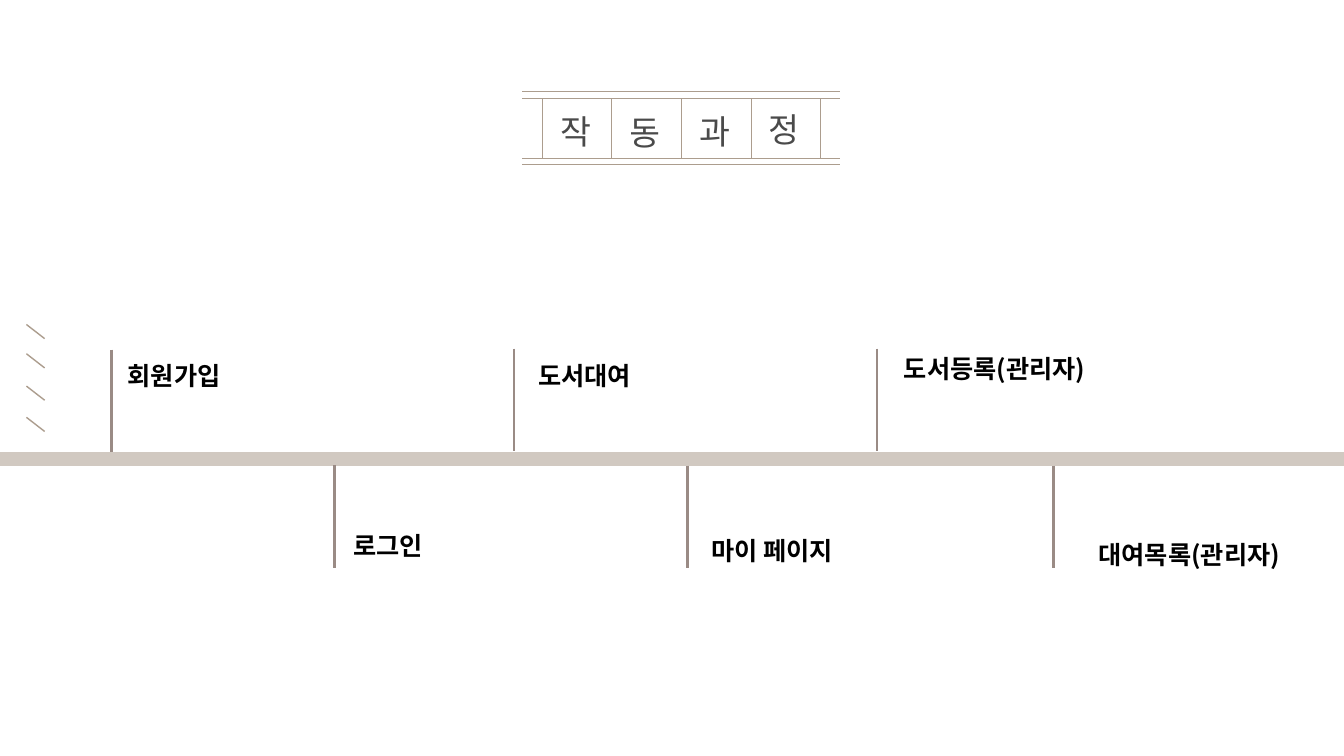
"""Build the slide that shows the operating steps along a timeline."""
from lxml import etree
from pptx import Presentation
from pptx.dml.color import RGBColor
from pptx.enum import shapes, text
from pptx.oxml import ns
from pptx.util import Pt

COLORS = {"frame": "AC9D8E", "stem": "9A8B85", "band": "D1C9C1", "text": "000000"}
FONT = "Noto Sans CJK KR"
TITLE = [("작", 75.6), ("동", 76.3), ("과", 75.6), ("정", 74.2)]
STEPS = [
    # stem x, stem top, label left, label top, label width
    ("회원가입", 79.9, 249.8, 84.2, 249.8, 102.2),
    ("로그인", 239, 332, 245.5, 370.8, 102.2),
    ("도서대여", 367.2, 249.1, 377.3, 249.8, 102.2),
    ("마이 페이지", 491, 332.6, 501.1, 374.4, 123.1),
    ("도서등록(관리자)", 626.4, 249.1, 638.6, 244.8, 154.8),
    ("대여목록(관리자)", 752.4, 332.6, 777.6, 377.3, 157.7),
]
RAILS = [65.5, 70.6, 113, 117.4]
TICKS = [231.8, 252.7, 275.8, 298.1]
RAIL_LEFT, RAIL_RIGHT = 373, 599.8
CELL_LEFT, CELL_W = 387.4, 49.7
STEM_H = 73.4


def add_line(slide, x1, y1, x2, y2, color, width):
    line = slide.shapes.add_connector(
        shapes.MSO_CONNECTOR.STRAIGHT, Pt(x1), Pt(y1), Pt(x2), Pt(y2))
    line.line.color.rgb = RGBColor.from_string(COLORS[color])
    line.line.width = Pt(width)
    etree.SubElement(line._element.spPr, ns.qn("a:effectLst"))


def add_text(slide, words, x, y, w, h, size, bold=False, spacing=None, opacity=None):
    tf = slide.shapes.add_textbox(Pt(x), Pt(y), Pt(w), Pt(h)).text_frame
    tf.word_wrap = True
    tf.auto_size = text.MSO_AUTO_SIZE.SHAPE_TO_FIT_TEXT
    p = tf.paragraphs[0]
    p.line_spacing = spacing
    r = p.add_run()
    r.text = words
    r.font.size = Pt(size)
    r.font.bold = bold
    r.font.name = FONT
    r.font.color.rgb = RGBColor.from_string(COLORS["text"])
    rPr = r.font._element
    rPr.find(ns.qn("a:latin")).addnext(
        rPr.makeelement(ns.qn("a:ea"), {"typeface": FONT}))
    if opacity:
        color = rPr.find(".//" + ns.qn("a:srgbClr"))
        etree.SubElement(color, ns.qn("a:alpha"), val=str(opacity * 1000))


def add_title(slide):
    for y in RAILS:
        add_line(slide, RAIL_LEFT, y, RAIL_RIGHT, y, "frame", 0.75)
    for i in range(len(TITLE) + 1):
        x = CELL_LEFT + i * CELL_W
        add_line(slide, x, RAILS[1], x, RAILS[2], "frame", 0.75)
    for i, (letter, y) in enumerate(TITLE):
        add_text(slide, letter, CELL_LEFT + 5.7 + i * CELL_W, y, 38.9, 36, 24, opacity=71)


def add_timeline(slide):
    band = slide.shapes.add_shape(
        shapes.MSO_SHAPE.RECTANGLE, Pt(0), Pt(323.3), Pt(960), Pt(9.4))
    band.shadow.inherit = False
    band.fill.solid()
    band.fill.fore_color.rgb = RGBColor.from_string(COLORS["band"])
    band.line.color.rgb = RGBColor.from_string(COLORS["band"])
    band.line.width = Pt(1)
    for label, stem_x, stem_y, x, y, w in STEPS:
        add_line(slide, stem_x, stem_y, stem_x, stem_y + STEM_H, "stem", 2)
        add_text(slide, label, x, y, w, 31, 18, bold=True, spacing=1.2)
    for y in TICKS:
        add_line(slide, 18.9, y, 31.9, y + 10.1, "frame", 1)


def main():
    prs = Presentation()
    prs.slide_width, prs.slide_height = Pt(960), Pt(540)
    slide = prs.slides.add_slide(prs.slide_layouts[6])
    add_title(slide)
    add_timeline(slide)
    prs.save("out.pptx")


if __name__ == "__main__":
    main()
